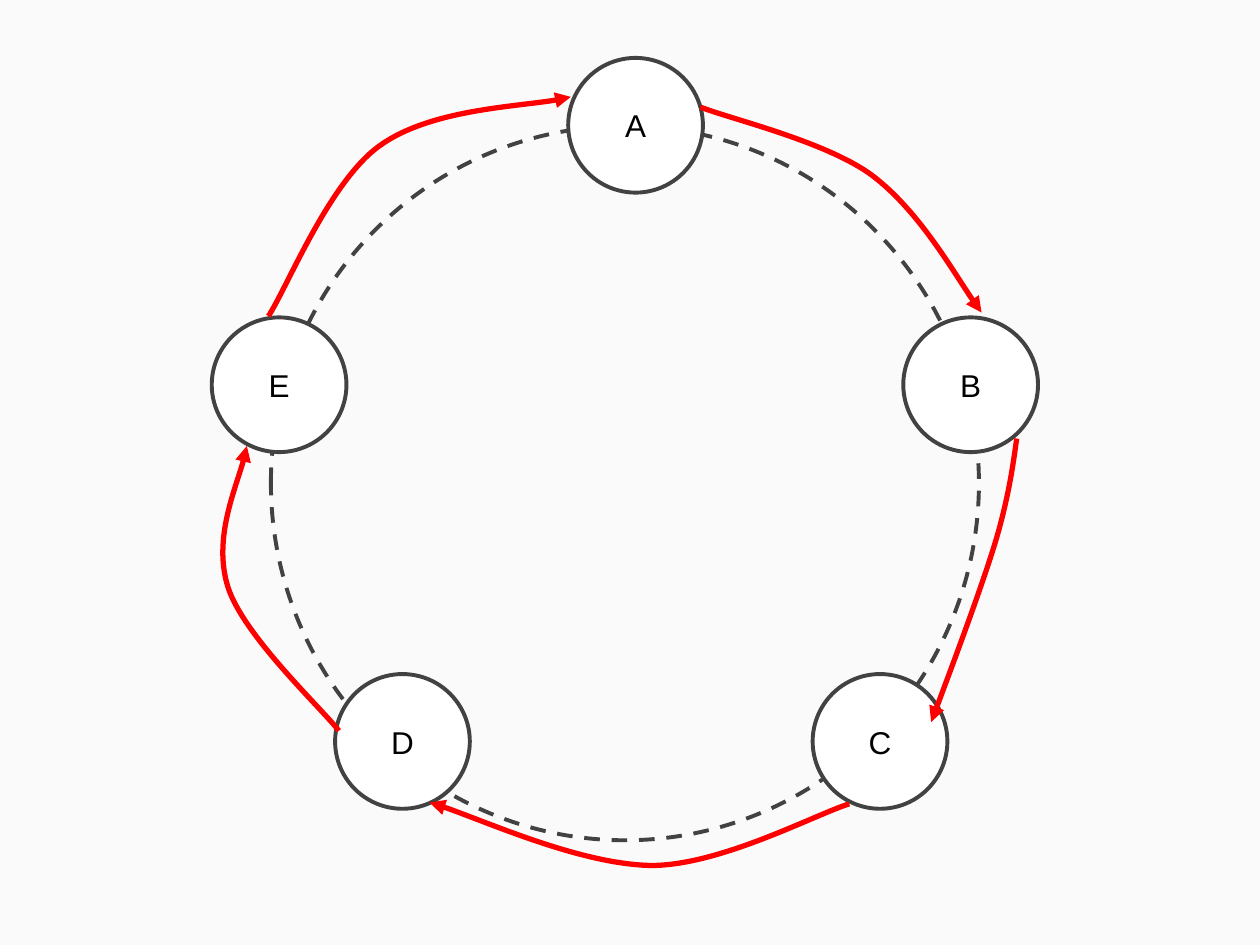
from lxml.etree import SubElement
from pptx import Presentation
from pptx.dml.color import RGBColor
from pptx.enum.dml import MSO_LINE
from pptx.enum.shapes import MSO_SHAPE
from pptx.enum.text import MSO_ANCHOR, PP_ALIGN
from pptx.oxml.ns import qn
from pptx.util import Pt

COLORS = {"background": "FAFAFA", "outline": "424242", "node": "FFFFFF",
          "text": "000000", "arrow": "FF0000"}
NODE_SIZE = 77
NODES = {"A": (324.7, 33.1), "B": (516.2, 181.4), "C": (464.4, 385.2),
         "D": (191.5, 385.2), "E": (121, 181.4)}
HOPS = {
    "A to B": [(400.3, 61.2), (416.2, 67.7), (471.6, 80.6), (498.2, 100.1),
               (524.9, 120.2), (550.8, 165.6), (560.9, 178.6)],
    "B to C": [(581, 250.6), (579.6, 259.9), (577.4, 280.1), (569.5, 307.4),
               (561.6, 334.1), (538.6, 395.3), (532.1, 412.6)],
    "C to D": [(485.3, 459.4), (466.6, 465.1), (411.8, 494.6), (372.2, 494.6),
               (331.9, 493.9), (266.4, 464.4), (245.5, 458.6)],
    "D to E": [(193.7, 417.6), (182.9, 403.9), (139, 362.9), (130.3, 335.5),
               (121.7, 308.2), (139, 268.6), (141.1, 254.9)],
    "E to A": [(153.4, 180.7), (164.2, 164.2), (187.9, 104.4), (216.7, 83.5),
               (245.5, 62.6), (308.2, 60.5), (326.2, 55.4)],
}


class RingSlide:
    font = "Arial"
    font_size = 18
    outline_width = 2.25
    arrow_width = 3
    inset = 7.2

    def __init__(self, slide):
        self.slide = slide
        self.paint(slide.background.fill, "background")

    def paint(self, fill, color):
        fill.solid()
        fill.fore_color.rgb = RGBColor.from_string(COLORS[color])

    def style(self, shape, fill, line, width):
        shape.shadow.inherit = False
        if fill:
            self.paint(shape.fill, fill)
        else:
            shape.fill.background()
        self.paint(shape.line.fill, line)
        shape.line.width = Pt(width)

    def circle(self, left, top, width, height, fill=None):
        circle = self.slide.shapes.add_shape(
            MSO_SHAPE.OVAL, Pt(left), Pt(top), Pt(width), Pt(height))
        self.style(circle, fill, "outline", self.outline_width)
        return circle

    def ring(self, left, top, width, height):
        ring = self.circle(left, top, width, height)
        ring.line.dash_style = MSO_LINE.DASH

    def node(self, label, left, top):
        node = self.circle(left, top, NODE_SIZE, NODE_SIZE, "node")
        frame = node.text_frame
        frame.text = label
        frame.vertical_anchor = MSO_ANCHOR.MIDDLE
        frame.margin_left = frame.margin_right = Pt(self.inset)
        frame.margin_top = frame.margin_bottom = Pt(self.inset)
        paragraph = frame.paragraphs[0]
        paragraph.alignment = PP_ALIGN.CENTER
        font = paragraph.runs[0].font
        font.name = self.font
        font.size = Pt(self.font_size)
        self.paint(font.fill, "text")

    def curved_arrow(self, points):
        start, *controls = [(Pt(x), Pt(y)) for x, y in points]
        builder = self.slide.shapes.build_freeform(*start)
        builder.add_line_segments(controls, close=False)
        arrow = builder.convert_to_shape()
        self.style(arrow, None, "arrow", self.arrow_width)
        segments = list(arrow.element.iter(qn("a:lnTo")))
        outline = segments[0].getparent()
        for first in range(0, len(segments), 3):
            curve = SubElement(outline, qn("a:cubicBezTo"))
            for segment in segments[first:first + 3]:
                curve.append(segment[0])
                outline.remove(segment)
        line = arrow.element.spPr.find(qn("a:ln"))
        SubElement(line, qn("a:tailEnd"), type="triangle")


presentation = Presentation()
presentation.slide_width = Pt(720)
presentation.slide_height = Pt(540)
blank = presentation.slide_layouts[6]
cycle = RingSlide(presentation.slides.add_slide(blank))
cycle.ring(154.8, 72, 404.6, 408.2)
for label, (left, top) in NODES.items():
    cycle.node(label, left, top)
for points in HOPS.values():
    cycle.curved_arrow(points)
presentation.save("out.pptx")
